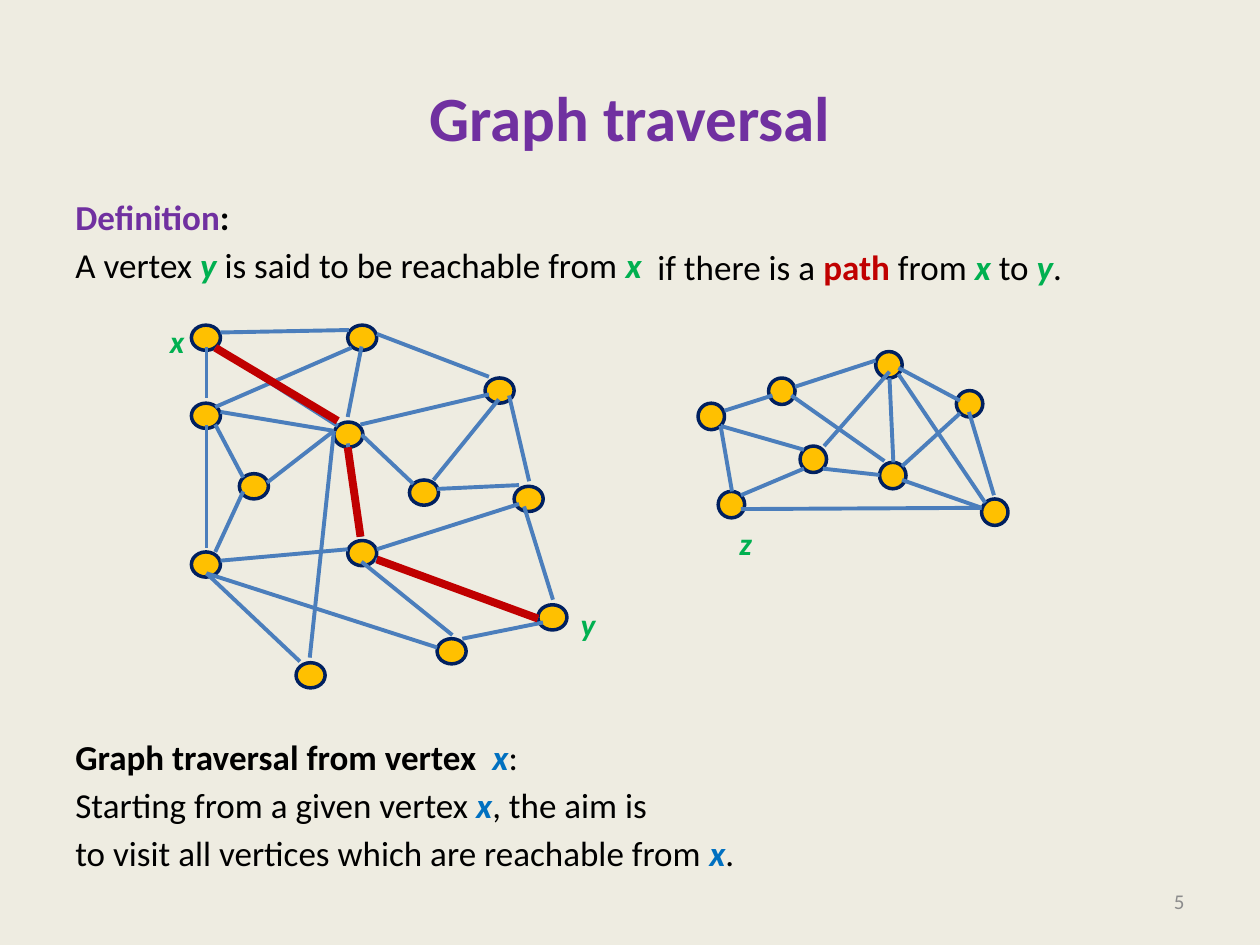
"""Build a slide that explains reachability and graph traversal."""
from lxml import etree
from pptx import Presentation
from pptx.dml.color import RGBColor
from pptx.enum.shapes import MSO_CONNECTOR as Connector, MSO_SHAPE as Shape
from pptx.enum.text import MSO_ANCHOR as Anchor, PP_ALIGN as Align
from pptx.oxml.ns import qn
from pptx.util import Pt

BEIGE = RGBColor(0xEE, 0xEC, 0xE1)
PURPLE = RGBColor(0x70, 0x30, 0xA0)
BLACK = RGBColor(0, 0, 0)
GREEN = RGBColor(0, 0xB0, 0x50)
BLUE = RGBColor(0, 0x70, 0xC0)
RED = RGBColor(0xC0, 0, 0)
GREY = RGBColor(0x8C, 0x8C, 0x8C)
AMBER = RGBColor(0xFF, 0xC0, 0)
NAVY = RGBColor(0, 0x20, 0x60)
STEEL = RGBColor(0x4B, 0x7E, 0xBC)


class GraphSlide:
    """Holds the style and the current slide."""

    font_name = "Calibri"

    def __init__(self, slide):
        self.slide = slide
        slide.background.fill.solid()
        slide.background.fill.fore_color.rgb = BEIGE

    def text(self, box, lines, size, align=Align.LEFT, anchor=Anchor.TOP,
             wrap=True, space=0):
        """Add paragraphs of (text, colour, style) runs; style has b and i."""
        shape = self.slide.shapes.add_textbox(*map(Pt, box))
        frame = shape.text_frame
        frame.word_wrap = wrap
        frame.vertical_anchor = anchor
        for index, pieces in enumerate(lines):
            paragraph = frame.add_paragraph() if index else frame.paragraphs[0]
            paragraph.alignment = align
            paragraph.space_before = Pt(space if index else 0)
            for content, colour, style in pieces:
                run = paragraph.add_run()
                run.text = content
                run.font.name = self.font_name
                run.font.size = Pt(size)
                run.font.color.rgb = colour
                run.font.bold = "b" in style
                run.font.italic = "i" in style

    def vertex(self, left, top, width, height):
        """Add one round vertex."""
        shape = self.slide.shapes.add_shape(
            Shape.OVAL, Pt(left), Pt(top), Pt(width), Pt(height))
        shape.shadow.inherit = False
        shape.fill.solid()
        shape.fill.fore_color.rgb = AMBER
        shape.line.color.rgb = NAVY
        shape.line.width = Pt(2)

    def edge(self, ends, colour=STEEL, width=2.25):
        """Add one straight edge from (x1, y1) to (x2, y2)."""
        line = self.slide.shapes.add_connector(Connector.STRAIGHT, *map(Pt, ends))
        line.line.color.rgb = colour
        line.line.width = Pt(width)
        etree.SubElement(line._element.spPr, qn("a:effectLst"))

    def graph(self, vertices, vertex_size, edges):
        """Add a whole graph, vertices below edges."""
        for position in vertices:
            self.vertex(*position, *vertex_size)
        for ends in edges:
            self.edge(ends)


LEFT_VERTICES = [
    (109.4, 185.8), (109.4, 230.4), (136.8, 270.7), (109.4, 315.4),
    (190.8, 241.2), (198.7, 308.9), (169.2, 378.7), (307.4, 345.6),
    (234, 274.3), (249.8, 365), (198.7, 185.8), (293.8, 277.9), (277.2, 216),
]
LEFT_EDGES = [
    (126, 320.4, 198.7, 313.9), (126, 235.4, 190.8, 246.2),
    (126, 190, 199.4, 188.6), (118, 198, 118, 227.5),
    (206, 242.6, 279.4, 225.4), (171.4, 378, 118, 327.6),
    (118, 242.6, 118, 313.2), (198.7, 253.4, 206.6, 306.7),
    (215.3, 190.8, 279.4, 215.3), (302.4, 275, 290.9, 226),
    (215.3, 313.9, 296.6, 288), (264.2, 365, 310.3, 355.7),
    (123, 242.6, 139, 272.9), (299.5, 289.4, 316, 342.7),
    (190.8, 246.2, 177, 375.8), (206.6, 321, 258.5, 362.9),
    (249.8, 279.4, 296.6, 277.2), (190.8, 246.2, 152.6, 275.8),
    (123, 315.4, 139, 280.8), (247.7, 274.3, 285, 228.2),
    (118, 327.6, 249.8, 370), (206.6, 198, 198.7, 238.3),
    (307.4, 353.5, 214.6, 319.7), (123, 198.7, 193, 243.4),
    (200.9, 198.7, 123, 232.6), (206.6, 248.4, 236.2, 276.5),
]
RIGHT_VERTICES = [
    (398.9, 230.4), (439.2, 216), (410.4, 280.8), (457.2, 254.9),
    (502.6, 264.2), (546.5, 223.2), (560.9, 285.1), (500.4, 200.9),
]
RIGHT_EDGES = [
    (414, 234.7, 441.4, 226), (454.3, 221, 500.4, 206),
    (513.4, 210.2, 548.6, 229), (452.2, 226, 505.4, 263.5),
    (508.3, 212.4, 470.9, 254.9), (568, 283, 553.7, 235.4),
    (560.9, 290.2, 515.5, 274.3), (560.9, 290.2, 423.4, 290.9),
    (423.4, 283, 459.4, 267.8), (411.8, 243.4, 459.4, 257),
    (411.8, 243.4, 418.3, 280.8), (502.6, 271.4, 470.2, 267.8),
    (548.6, 236.2, 515.5, 266.4), (510.5, 264.2, 508.3, 216),
    (513.4, 213.8, 563, 287.3),
]
PATH_EDGES = [
    (123, 198.7, 193, 240.5), (206, 306.7, 198.7, 255.6),
    (307.4, 353.5, 215.3, 319.7),
]
VERTEX_LABELS = [("x", 90, 180.7), ("y", 324.7, 342), ("z", 415.4, 295.9)]

presentation = Presentation()
presentation.slide_width, presentation.slide_height = Pt(720), Pt(540)
page = GraphSlide(presentation.slides.add_slide(presentation.slide_layouts[6]))

page.text((36, 21.6, 648, 90), [[("Graph traversal", PURPLE, "b")]], 36,
          Align.CENTER, Anchor.MIDDLE)
page.text((36, 108, 648, 60), [
    [("Definition", PURPLE, "b"), (":", BLACK, "b")],
    [("A vertex ", BLACK, ""), ("y", GREEN, "bi"),
     (" is said to be reachable from ", BLACK, ""), ("x", GREEN, "bi")],
], 20, space=3.6)
page.text((368.6, 136.8, 247.7, 31.7), [
    [("if there is a ", BLACK, ""), ("path", RED, "b"), (" from ", BLACK, ""),
     ("x ", GREEN, "bi"), ("to ", BLACK, ""), ("y", GREEN, "bi"), (".", BLACK, "")],
], 20, wrap=False)
page.text((36, 416.5, 648, 88), [
    [("Graph traversal from vertex  ", BLACK, "b"), ("x", BLUE, "bi"),
     (":", BLACK, "")],
    [("Starting from a given vertex ", BLACK, ""), ("x", BLUE, "bi"),
     (", the aim is", BLACK, "")],
    [("to visit all vertices which are reachable from ", BLACK, ""),
     ("x", BLUE, "bi"), (".", BLACK, "")],
], 20, space=3.6)
page.text((516.2, 500.4, 167.8, 28.8), [[("5", GREY, "")]], 12,
          Align.RIGHT, Anchor.MIDDLE)

page.graph(LEFT_VERTICES, (16.6, 14.4), LEFT_EDGES)
page.graph(RIGHT_VERTICES, (15.1, 15.1), RIGHT_EDGES)
for path_ends in PATH_EDGES:
    page.edge(path_ends, RED, 4.5)
for letter, left, top in VERTEX_LABELS:
    page.text((left, top, 23, 28.8), [[(letter, GREEN, "bi")]], 18, wrap=False)

presentation.save("out.pptx")
